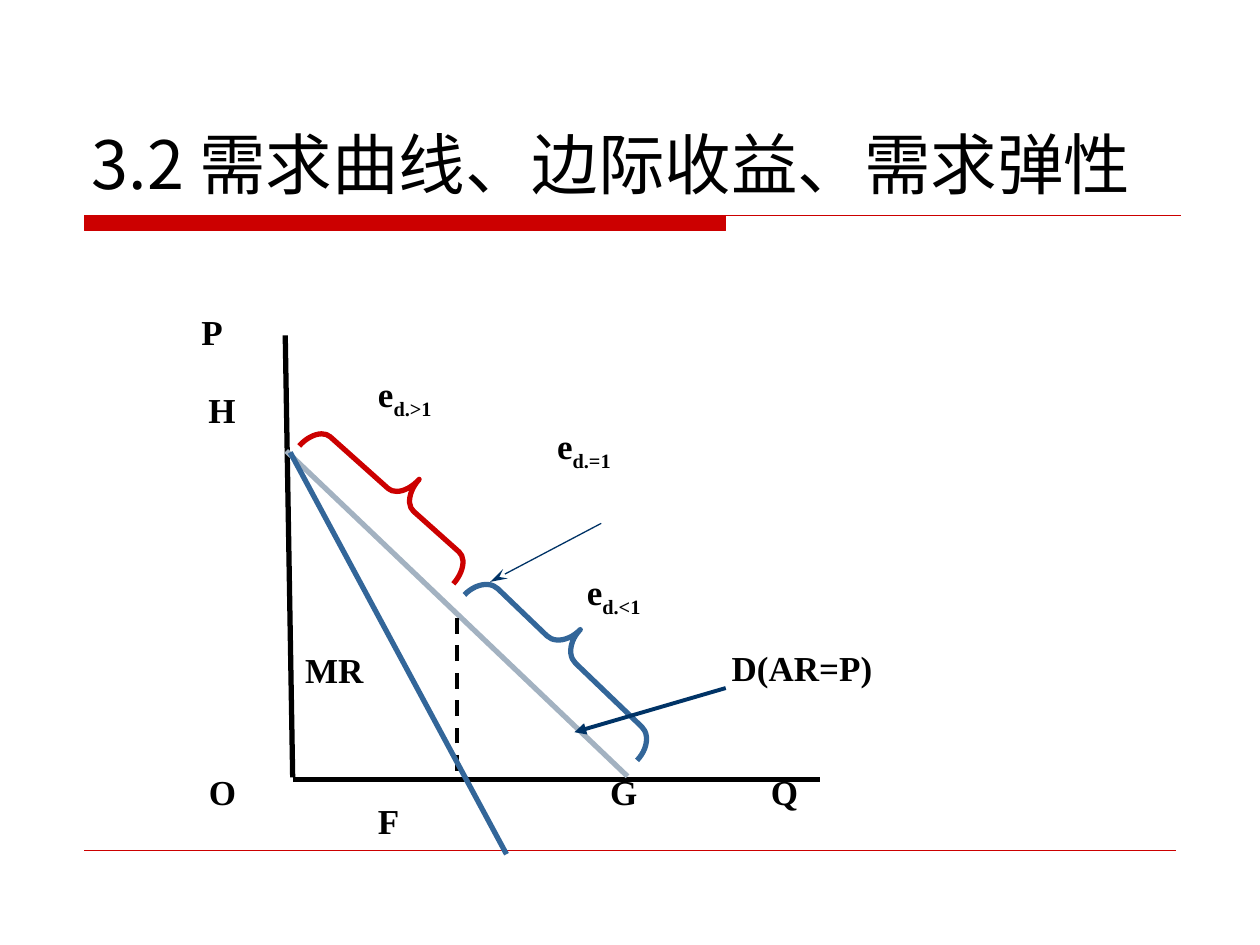
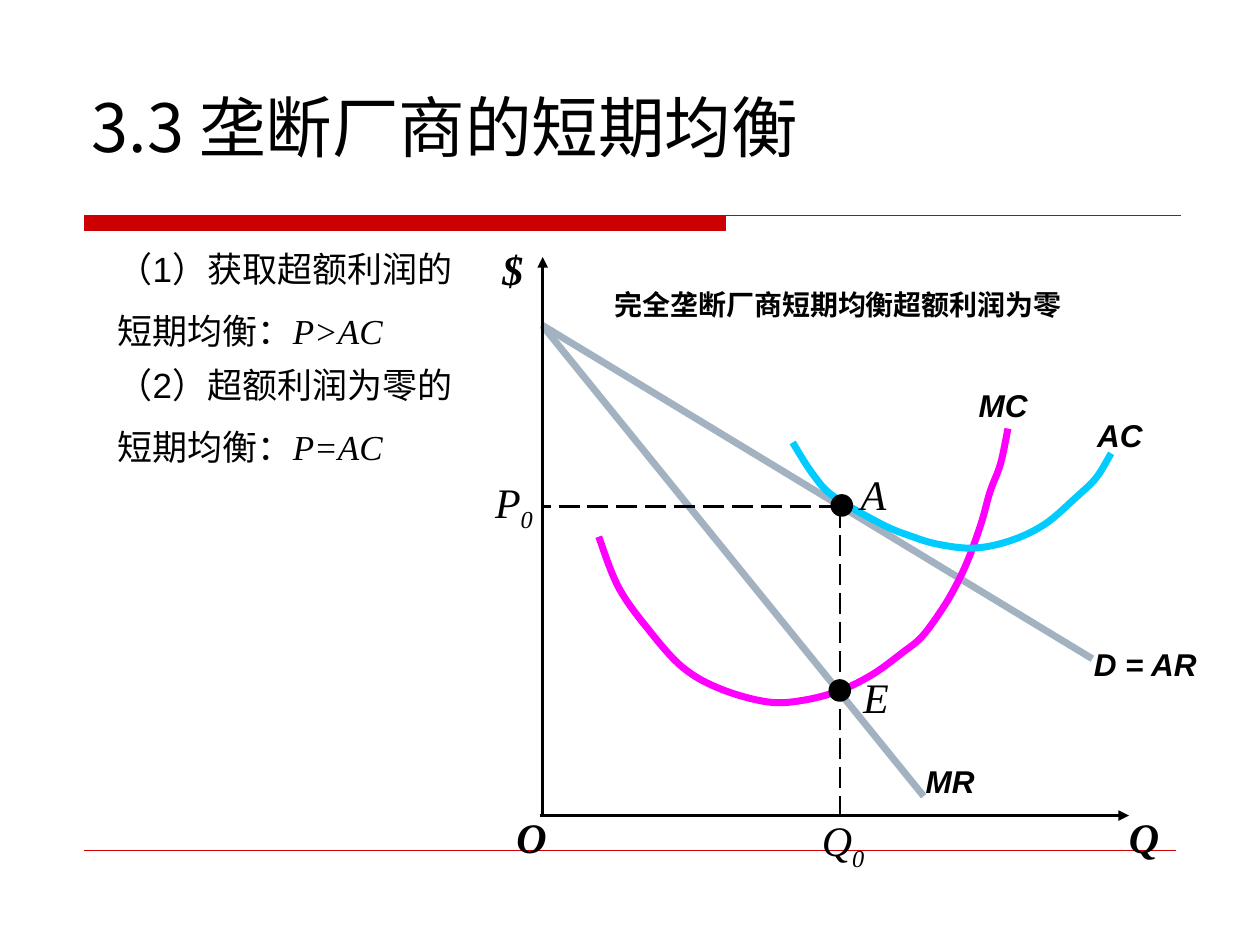
from dataclasses import dataclass

from lxml.etree import SubElement
from pptx import Presentation
from pptx.dml.color import RGBColor
from pptx.enum.dml import MSO_LINE
from pptx.enum.shapes import MSO_CONNECTOR, MSO_SHAPE
from pptx.enum.text import MSO_ANCHOR, PP_ALIGN
from pptx.oxml.ns import qn
from pptx.util import Cm, Pt


@dataclass(frozen=True)
class Theme:
    red: str = "CC0000"
    black: str = "000000"
    grey: str = "A3B2C1"
    blue: str = "336699"
    navy: str = "003366"
    magenta: str = "FF00FF"
    cyan: str = "00CCFF"
    title_font: str = "Noto Sans CJK SC"
    sans: str = "Arial"
    serif: str = "Times New Roman"
    title_size: int = 38
    symbol_size: int = 24
    body_size: int = 20
    curve_size: int = 18
    caption_size: int = 16


theme = Theme()


def add_text(slide, box, paragraphs, size, wrap=True, anchor=MSO_ANCHOR.TOP):
    """Each paragraph is a list of (text, font, flags); flags: b bold, i italic, s subscript."""
    shape = slide.shapes.add_textbox(*[Cm(value) for value in box])
    frame = shape.text_frame
    frame.word_wrap = wrap
    frame.vertical_anchor = anchor
    for index, runs in enumerate(paragraphs):
        paragraph = frame.paragraphs[0] if index == 0 else frame.add_paragraph()
        for text, font, flags in runs:
            run = paragraph.add_run()
            run.text = text
            run.font.name = font
            run.font.size = Pt(size)
            run.font.bold = "b" in flags
            run.font.italic = "i" in flags
            run.font.color.rgb = RGBColor.from_string(theme.black)
            properties = run.font._element
            if "s" in flags:
                properties.set("baseline", "-25000")
            if font == theme.title_font:
                SubElement(properties, qn("a:ea")).set("typeface", font)
    return frame


def add_line(slide, start, end, colour, width, dash=None, arrow=None, arrow_length="med"):
    points = [Cm(value) for value in (*start, *end)]
    connector = slide.shapes.add_connector(MSO_CONNECTOR.STRAIGHT, *points)
    connector.line.color.rgb = RGBColor.from_string(colour)
    connector.line.width = Pt(width)
    if dash:
        connector.line.dash_style = dash
    if arrow:
        tail = SubElement(connector.line._get_or_add_ln(), qn("a:tailEnd"))
        tail.set("type", arrow)
        tail.set("len", arrow_length)
    SubElement(connector._element.spPr, qn("a:effectLst"))
    return connector


presentation = Presentation()
presentation.slide_width = Cm(25.4)
presentation.slide_height = Cm(19.05)
blank_layout = presentation.slide_layouts[6]

# Titles
slides = []
for title, anchor in [
    ("3.2 需求曲线、边际收益、需求弹性", MSO_ANCHOR.BOTTOM),
    ("3.3 垄断厂商的短期均衡", MSO_ANCHOR.MIDDLE),
]:
    slide = presentation.slides.add_slide(blank_layout)
    add_text(slide, (1.6, 0.84, 22.23, 3.38),
             [[(title, theme.title_font, "")]], theme.title_size, anchor=anchor)
    slides.append(slide)
elasticity_slide, equilibrium_slide = slides

# Shared frame: red band with its rule, and the footer rule, moved to the layout
builder = elasticity_slide.shapes.build_freeform(Cm(1.7), Cm(4.35))
builder.add_line_segments(
    [(Cm(x), Cm(y)) for x, y in [(14.63, 4.35), (14.63, 4.65), (1.7, 4.65)]])
builder.move_to(Cm(1.7), Cm(4.35))
builder.add_line_segments([(Cm(23.8), Cm(4.35))], close=False)
band = builder.convert_to_shape()
band.shadow.inherit = False
band.fill.solid()
band.fill.fore_color.rgb = RGBColor.from_string(theme.red)
band.line.color.rgb = RGBColor.from_string(theme.red)
band.line.width = Pt(0.75)
footer = add_line(elasticity_slide, (1.7, 17.15), (23.7, 17.15), theme.red, 0.25)
for shape in (band, footer):
    blank_layout.shapes._spTree.append(shape._element)

# Elasticity: axes, demand and marginal revenue
for start, end, colour, width, dash in [
    ((5.75, 6.76), (5.9, 15.67), theme.black, 3, None),
    ((5.9, 15.72), (16.54, 15.72), theme.black, 3, None),
    ((5.77, 9.09), (12.65, 15.65), theme.grey, 3, None),
    ((9.22, 15.54), (9.22, 12.37), theme.black, 2.25, MSO_LINE.DASH),
    ((5.85, 9.12), (10.21, 17.22), theme.blue, 3, None),
]:
    add_line(elasticity_slide, start, end, colour, width, dash)

# Elasticity: braces over the elastic and inelastic stretches
for left, top, height, rotation, curl, tip, colour in [
    (7.4, 7.88, 4.17, 131.8, 0.31, 0.46, theme.red),
    (10.93, 10.85, 4.82, 133.8, 0.36, 0.55, theme.blue),
]:
    brace = elasticity_slide.shapes.add_shape(
        MSO_SHAPE.LEFT_BRACE, Cm(left), Cm(top), Cm(1.11), Cm(height))
    brace.shadow.inherit = False
    brace.rotation = rotation
    brace.adjustments[0] = curl
    brace.adjustments[1] = tip
    brace.fill.background()
    brace.line.color.rgb = RGBColor.from_string(colour)
    brace.line.width = Pt(3)

# Elasticity: pointers
add_line(elasticity_slide, (12.12, 10.55), (9.88, 11.73), theme.navy, 0.75,
         arrow="stealth", arrow_length="lg")
add_line(elasticity_slide, (14.63, 13.87), (11.58, 14.76), theme.navy, 2.25, arrow="triangle")

# Elasticity: labels
for text, subscript, *box in [
    ("P", "", 3.81, 6.14, 1.93, 1.55),
    ("H", "", 3.95, 7.71, 1.65, 1.88),
    ("O", "", 3.96, 15.41, 1.96, 1.57),
    ("F", "", 7.37, 16, 1.35, 1.57),
    ("G", "", 12.05, 15.41, 2.59, 1.55),
    ("Q", "", 15.29, 15.41, 2.11, 1.57),
    ("MR", "", 5.9, 12.95, 2.92, 1.85),
    ("D(AR=P)", "", 14.5, 12.9, 5.82, 1.85),
    ("e", "d.>1", 7.37, 7.38, 4.72, 2.36),
    ("e", "d.=1", 10.98, 8.43, 4.72, 2.36),
    ("e", "d.<1", 11.58, 11.38, 4.72, 2.36),
]:
    runs = [(text, theme.serif, "b")]
    if subscript:
        runs.append((subscript, theme.serif, "bs"))
    add_text(elasticity_slide, box, [runs], theme.body_size)

# Equilibrium: the two cases
for top, case, condition in [
    (4.87, "（1）获取超额利润的", "P>AC"),
    (7.21, "（2）超额利润为零的", "P=AC"),
]:
    frame = add_text(
        equilibrium_slide, (2.12, top, 20.75, 2.36),
        [[(case, theme.sans, "")],
         [("短期均衡：", theme.sans, ""), (condition, theme.serif, "i")]],
        theme.body_size)
    for paragraph in frame.paragraphs:
        paragraph.space_before = Pt(11.2)

# Equilibrium: demand, marginal revenue and axes
add_line(equilibrium_slide, (10.92, 6.55), (22.02, 13.28), theme.grey, 4)
add_line(equilibrium_slide, (10.95, 6.58), (18.62, 16.05), theme.grey, 4)
add_line(equilibrium_slide, (10.94, 16.41), (10.94, 5.18), theme.black, 2, arrow="triangle")
add_line(equilibrium_slide, (10.88, 16.44), (22.76, 16.44), theme.black, 2, arrow="triangle")

# Equilibrium: cost curves, one Bézier segment between neighbouring knots
marginal_cost = [
    (12.07, 10.82), (12.47, 11.84), (13.08, 12.7), (13.77, 13.46), (14.53, 13.89),
    (15.47, 14.15), (16.18, 14.12), (16.94, 13.92), (17.6, 13.59), (18.19, 13.16),
    (18.59, 12.83), (19, 12.27), (19.28, 11.79), (19.53, 11.25), (19.79, 10.52),
    (19.96, 9.91), (20.17, 9.35), (20.32, 8.64)]
average_cost = [
    (15.98, 8.92), (16.38, 9.55), (16.81, 10.01), (17.78, 10.57), (18.34, 10.8),
    (18.9, 10.97), (19.63, 11.05), (20.37, 10.9), (21.06, 10.57), (21.69, 10.03),
    (22.1, 9.63), (22.4, 9.14)]
for knots, colour in [(marginal_cost, theme.magenta), (average_cost, theme.cyan)]:
    builder = equilibrium_slide.shapes.build_freeform(*[Cm(value) for value in knots[0]])
    builder.add_line_segments([(Cm(x), Cm(y)) for x, y in knots[1:]], close=False)
    curve = builder.convert_to_shape()
    curve.shadow.inherit = False
    curve.fill.background()
    curve.line.color.rgb = RGBColor.from_string(colour)
    curve.line.width = Pt(4)
    local = [(int(point.get("x")), int(point.get("y")))
             for point in curve._element.iter(qn("a:pt"))]
    padded = [local[0], *local, local[-1]]
    segments = list(curve._element.iter(qn("a:lnTo")))
    for segment, before, start, end, after in zip(
            segments, padded, padded[1:], padded[2:], padded[3:]):
        bezier = SubElement(segment.getparent(), qn("a:cubicBezTo"))
        leaving = [b + (c - a) / 6 for a, b, c in zip(before, start, end)]
        arriving = [c - (d - b) / 6 for b, c, d in zip(start, end, after)]
        for x, y in (leaving, arriving, end):
            point = SubElement(bezier, qn("a:pt"))
            point.set("x", str(round(x)))
            point.set("y", str(round(y)))
        segment.getparent().remove(segment)

# Equilibrium: guides and points A and E
for end in [(16.93, 16.46), (10.9, 10.21)]:
    add_line(equilibrium_slide, (16.93, 10.21), end, theme.black, 1.5, MSO_LINE.LONG_DASH)
for left, top in [(16.72, 13.71), (16.76, 9.98)]:
    point = equilibrium_slide.shapes.add_shape(
        MSO_SHAPE.OVAL, Cm(left), Cm(top), Cm(0.42), Cm(0.42))
    point.shadow.inherit = False
    point.fill.solid()
    point.fill.fore_color.rgb = RGBColor.from_string(theme.black)
    point.line.color.rgb = RGBColor.from_string(theme.black)
    point.line.width = Pt(1)

# Equilibrium: curve names
for text, left, top, width in [
    ("D = AR", 21.8, 12.87, 2.59),
    ("MR", 18.41, 15.24, 1.5),
    ("MC", 19.48, 7.66, 1.5),
    ("AC", 21.87, 8.26, 1.42),
]:
    add_text(equilibrium_slide, (left, top, width, 1.02),
             [[(text, theme.sans, "bi")]], theme.curve_size, wrap=False)

# Equilibrium: axis and point symbols
for text, subscript, flags, *box in [
    ("Q", "", "bi", 22.51, 16.23, 1.12, 1.27),
    ("$", "", "bi", 9.88, 4.78, 0.91, 1.27),
    ("O", "", "bi", 10.16, 16.23, 1.12, 1.27),
    ("P", "0", "i", 9.73, 9.48, 1.27, 1.4),
    ("Q", "0", "i", 16.32, 16.3, 1.37, 1.4),
    ("E", "", "i", 17.15, 13.41, 1.02, 1.27),
    ("A", "", "i", 17.1, 9.32, 1.02, 1.27),
]:
    runs = [(text, theme.serif, flags)]
    if subscript:
        runs.append((subscript, theme.serif, flags + "s"))
    add_text(equilibrium_slide, box, [runs], theme.symbol_size, wrap=False)

# Equilibrium: caption
caption = add_text(
    equilibrium_slide, (12.1, 5.54, 9.6, 1.07),
    [[("完全垄断厂商短期均衡超额利润为零", theme.serif, "b")]], theme.caption_size)
caption.paragraphs[0].alignment = PP_ALIGN.CENTER
caption.paragraphs[0].line_spacing = 1.2
caption.paragraphs[0].space_before = Pt(10)

presentation.save("out.pptx")
